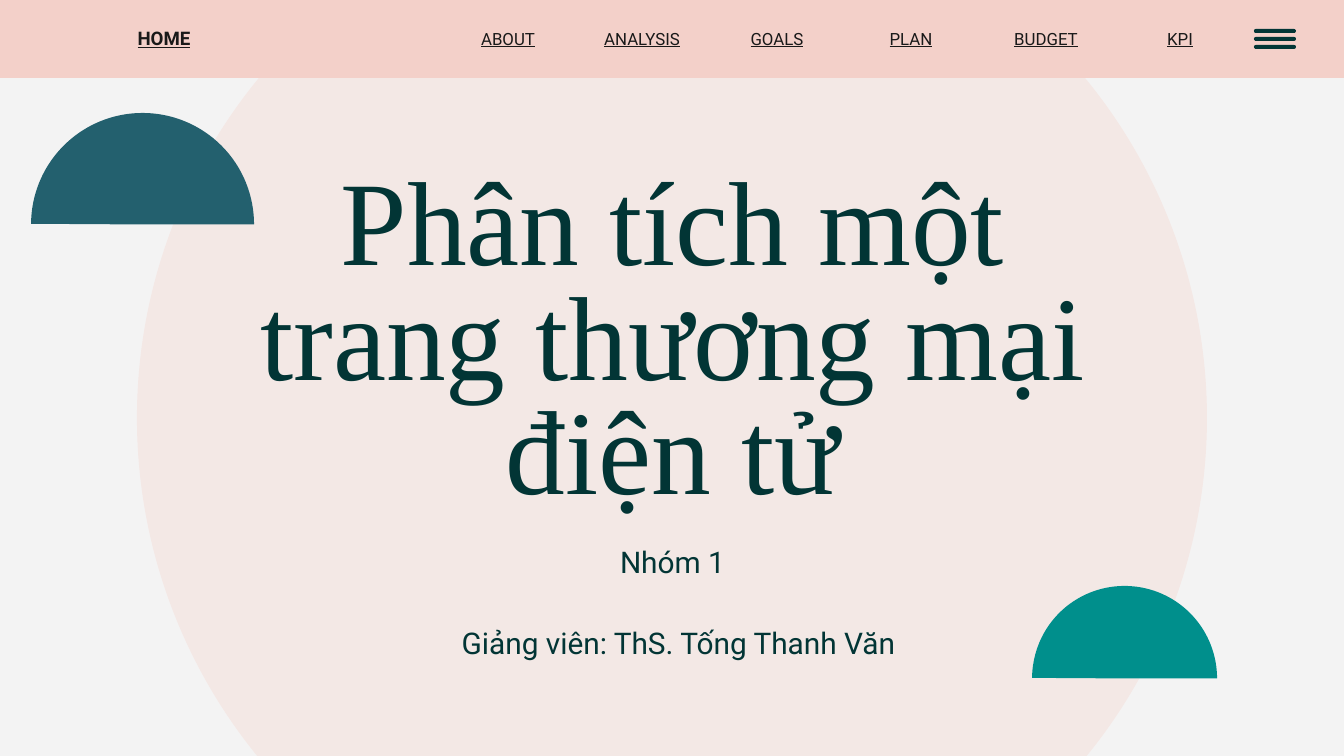
from pptx import Presentation
from pptx.dml.color import RGBColor
from pptx.enum.shapes import MSO_SHAPE as Shape
from pptx.enum.text import MSO_ANCHOR as Anchor, MSO_AUTO_SIZE as AutoSize, PP_ALIGN as Align
from pptx.util import Emu, Pt

SCALE = 914400 / 134.4
WIDTH, HEIGHT = 1344, 756
COLORS = {
    "page": "F3F3F3",
    "circle": "F3E8E5",
    "band": "F3D0C9",
    "ink": "023535",
    "link": "191919",
    "slate": "23606E",
    "teal": "008F8C",
}
SECTIONS = ["ABOUT", "ANALYSIS", "GOALS", "PLAN", "BUDGET", "KPI"]


def px(length):
    return Emu(round(length * SCALE))


def color(name):
    return RGBColor.from_string(COLORS[name])


def place(item, box):
    item.left, item.top, item.width, item.height = map(px, box)


def add_plain(page, kind, box, fill):
    shape = page.shapes.add_shape(kind, *map(px, box))
    shape.shadow.inherit = False
    shape.fill.solid()
    shape.fill.fore_color.rgb = color(fill)
    shape.line.fill.background()
    return shape


def write(item, text, size, ink="ink", name="Roboto", anchor=Anchor.TOP,
          side=13, spacing=1.0, bold=False, underline=False):
    frame = item.text_frame
    frame.word_wrap = True
    frame.auto_size = AutoSize.NONE
    frame.vertical_anchor = anchor
    frame.margin_left = frame.margin_right = px(side)
    frame.margin_top = frame.margin_bottom = px(13)
    frame.text = text
    para = frame.paragraphs[0]
    para.alignment = Align.CENTER
    para.line_spacing = spacing
    para.space_before = Pt(0)
    font = para.font
    font.name, font.size = name, Pt(size)
    font.bold, font.underline = bold, underline
    font.color.rgb = color(ink)


def add_link(page, box, text, size, bold=False):
    link = page.shapes.add_textbox(*map(px, box))
    write(link, text, size, "link", anchor=Anchor.MIDDLE, side=0, bold=bold, underline=True)


def add_menu_icon(page, box):
    left, top, width, height = box
    icon = page.shapes.add_group_shape()
    thickness = height // 5
    for row in range(3):
        bar_box = (left, top + row * 2 * thickness, width, thickness)
        bar = add_plain(icon, Shape.ROUNDED_RECTANGLE, bar_box, "ink")
        bar.adjustments[0] = 0.5


def add_navigation(page, box):
    left, top, width, height = box
    add_plain(page, Shape.RECTANGLE, box, "band")
    link_top = top + 27
    add_link(page, (left + 104, link_top, 120, 23), "HOME", 10, bold=True)
    first, last = left + 448, left + 1120
    step = (last - first) / (len(SECTIONS) - 1)
    for index, section in enumerate(SECTIONS):
        add_link(page, (round(first + index * step), link_top, 120, 23), section, 9)
    add_menu_icon(page, (left + 1254, top + 29, 42, 20))


def add_dome(page, box, fill):
    dome = add_plain(page, Shape.PIE, box, fill)
    dome.adjustments[0] = 54.21
    dome.adjustments[1] = 162
    dome.rotation = 90


def add_headline(page, box):
    left, top, width, height = box
    title, subtitle = page.placeholders
    place(title, (left, top, width, 352))
    write(title, "Phân tích một trang thương mại điện tử", 64,
          name="Times New Roman", anchor=Anchor.BOTTOM, spacing=0.8)
    place(subtitle, (left, top + 352, width, 77))
    write(subtitle, "Nhóm 1", 16)
    for holder in (title, subtitle):
        page.shapes.element.append(holder.element)
    lecturer = page.shapes.add_textbox(*map(px, (left + 6, top + height - 59, width, 59)))
    write(lecturer, "Giảng viên: ThS. Tống Thanh Văn", 16)


def add_cover(deck):
    page = deck.slides.add_slide(deck.slide_layouts[0])
    page.background.fill.solid()
    page.background.fill.fore_color.rgb = color("page")
    add_plain(page, Shape.OVAL, (137, -117, 1070, 1070), "circle")
    add_navigation(page, (0, 0, WIDTH, 78))
    add_headline(page, (206, 179, 933, 492))
    add_dome(page, (31, 113, 223, 223), "slate")
    add_dome(page, (1032, 586, 185, 185), "teal")


def main():
    deck = Presentation()
    deck.slide_width, deck.slide_height = px(WIDTH), px(HEIGHT)
    add_cover(deck)
    deck.save("out.pptx")


if __name__ == "__main__":
    main()
